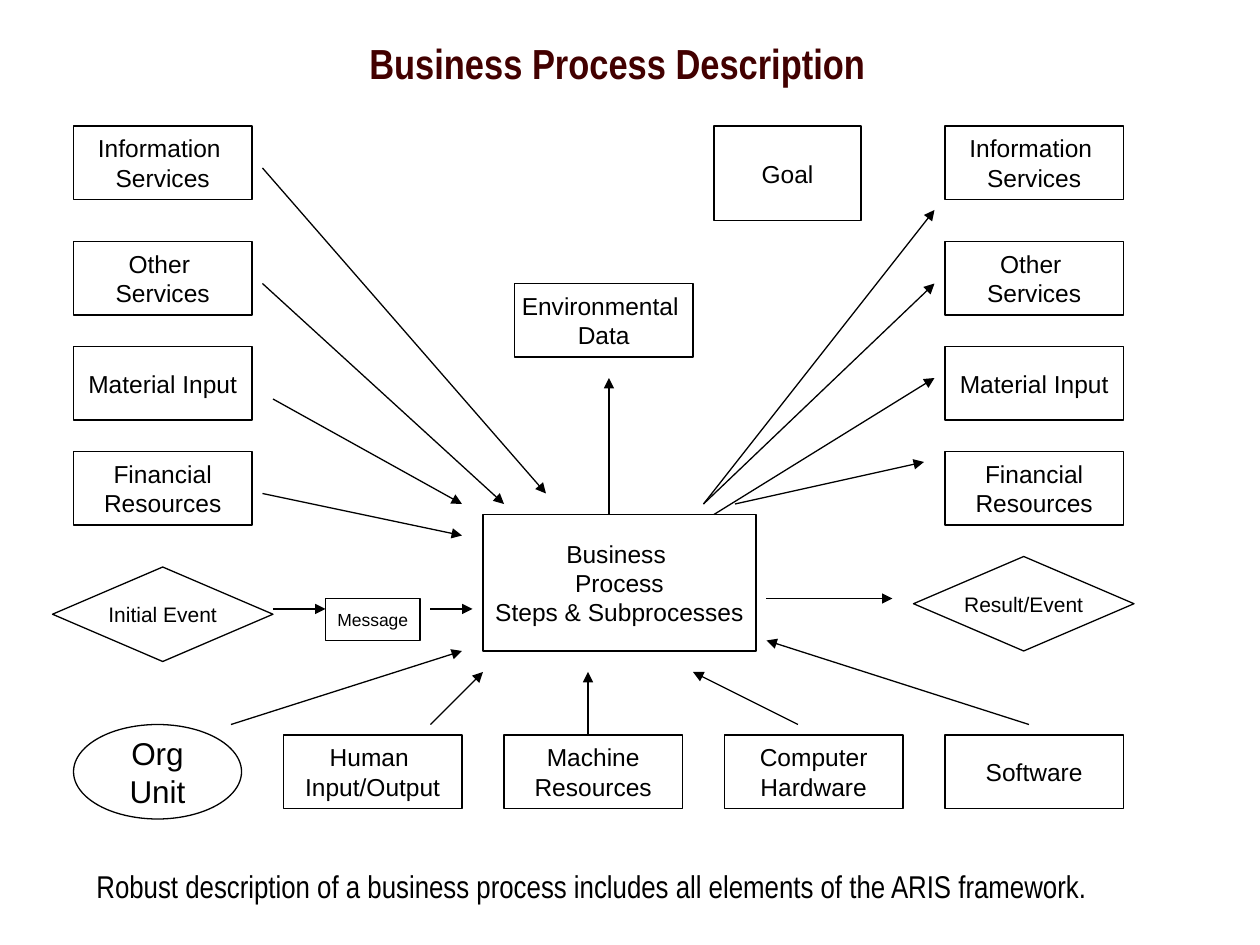
from lxml import etree
from pptx import Presentation
from pptx.dml.color import RGBColor
from pptx.enum.shapes import MSO_CONNECTOR, MSO_SHAPE
from pptx.enum.text import MSO_ANCHOR, MSO_AUTO_SIZE, PP_ALIGN
from pptx.oxml.ns import qn
from pptx.util import Emu, Pt

RECTANGLE = MSO_SHAPE.RECTANGLE
PROCESS = MSO_SHAPE.FLOWCHART_PROCESS
DECISION = MSO_SHAPE.FLOWCHART_DECISION
OVAL = MSO_SHAPE.OVAL
STRAIGHT = MSO_CONNECTOR.STRAIGHT
CENTER = PP_ALIGN.CENTER
LEFT = PP_ALIGN.LEFT
MIDDLE = MSO_ANCHOR.MIDDLE
FIT_SHAPE = MSO_AUTO_SIZE.SHAPE_TO_FIT_TEXT

PX = 914400 // 120
COLORS = {"ink": "000000", "paper": "FFFFFF", "title": "420000"}
LINE_WIDTH = Pt(0.75)

BOX_WIDTH, BOX_HEIGHT = 170, 70
INPUT_LEFT, OUTPUT_LEFT = 70, 900
RESOURCE_LEFT, RESOURCE_STEP, RESOURCE_TOP = 270, 210, 700

TITLE = "Business Process Description"
CAPTION = "Robust description of a business process includes all elements of the ARIS framework."

FLOWS = [
    (120, ["Information ", "Services"]),
    (230, ["Other ", "Services"]),
    (330, ["Material Input"]),
    (430, ["Financial", "Resources"]),
]
RESOURCES = [
    ["Human ", "Input/Output"],
    ["Machine", "Resources"],
    ["Computer", "Hardware"],
    ["Software"],
]
OTHER_NODES = [
    (RECTANGLE, (490, 270, BOX_WIDTH, BOX_HEIGHT), ["Environmental ", "Data"], 14),
    (DECISION, (50, 540, 210, 90), ["Initial Event"], 12),
    (PROCESS, (310, 570, 90, 40), ["Message"], 10),
    (RECTANGLE, (460, 490, 260, 130), ["Business ", "Process", "Steps & Subprocesses"], 14),
    (DECISION, (870, 530, 210, 90), ["Result/Event"], 12),
    (PROCESS, (680, 120, 140, 90), ["Goal"], 14),
    (OVAL, (70, 690, 160, 90), ["Org", "Unit"], 18),
]
ARROWS = [
    (250, 160, 520, 470),
    (250, 270, 480, 480),
    (260, 380, 440, 480),
    (250, 470, 440, 510),
    (260, 580, 310, 580),
    (410, 580, 450, 580),
    (730, 570, 850, 570),
    (700, 480, 880, 440),
    (680, 490, 890, 360),
    (670, 480, 890, 270),
    (670, 480, 890, 200),
    (220, 690, 440, 620),
    (410, 690, 460, 640),
    (560, 700, 560, 640),
    (760, 690, 660, 640),
    (980, 690, 730, 610),
    (580, 490, 580, 360),
]


def color(name):
    return RGBColor.from_string(COLORS[name])


def scaled(lengths):
    return [Emu(length * PX) for length in lengths]


def write_lines(frame, lines, size, font_name="Arial", ink="ink", bold=False, align=LEFT):
    frame.word_wrap = False
    for index, line in enumerate(lines):
        paragraph = frame.add_paragraph() if index else frame.paragraphs[0]
        paragraph.alignment = align
        run = paragraph.add_run()
        run.text = line
        run.font.name = font_name
        run.font.size = Pt(size)
        run.font.bold = bold
        run.font.color.rgb = color(ink)


def add_node(slide, kind, bounds, lines, size=14):
    shape = slide.shapes.add_shape(kind, *scaled(bounds))
    shape.shadow.inherit = False
    shape.fill.solid()
    shape.fill.fore_color.rgb = color("paper")
    shape.line.color.rgb = color("ink")
    shape.line.width = LINE_WIDTH
    shape.text_frame.vertical_anchor = MIDDLE
    write_lines(shape.text_frame, lines, size, align=CENTER)


def add_label(slide, bounds, text, size, ink="ink", bold=False):
    frame = slide.shapes.add_textbox(*scaled(bounds)).text_frame
    frame.auto_size = FIT_SHAPE
    write_lines(frame, [text], size, "Arial Narrow", ink, bold)


def add_arrow(slide, ends):
    connector = slide.shapes.add_connector(STRAIGHT, *scaled(ends))
    connector.line.color.rgb = color("ink")
    connector.line.width = LINE_WIDTH
    line = connector.line._get_or_add_ln()
    etree.SubElement(line, qn("a:tailEnd"), type="triangle")
    etree.SubElement(connector._element.spPr, qn("a:effectLst"))


def main():
    presentation = Presentation()
    presentation.slide_width, presentation.slide_height = scaled((1200, 900))
    slide = presentation.slides.add_slide(presentation.slide_layouts[6])

    for left in (INPUT_LEFT, OUTPUT_LEFT):
        for top, lines in FLOWS:
            add_node(slide, RECTANGLE, (left, top, BOX_WIDTH, BOX_HEIGHT), lines)
    for index, lines in enumerate(RESOURCES):
        left = RESOURCE_LEFT + index * RESOURCE_STEP
        add_node(slide, RECTANGLE, (left, RESOURCE_TOP, BOX_WIDTH, BOX_HEIGHT), lines)
    for kind, bounds, lines, size in OTHER_NODES:
        add_node(slide, kind, bounds, lines, size)

    add_label(slide, (340, 30, 497, 60), TITLE, 24, "title", True)
    for ends in ARROWS:
        add_arrow(slide, ends)
    add_label(slide, (80, 820, 971, 48), CAPTION, 18)

    presentation.save("out.pptx")


if __name__ == "__main__":
    main()
